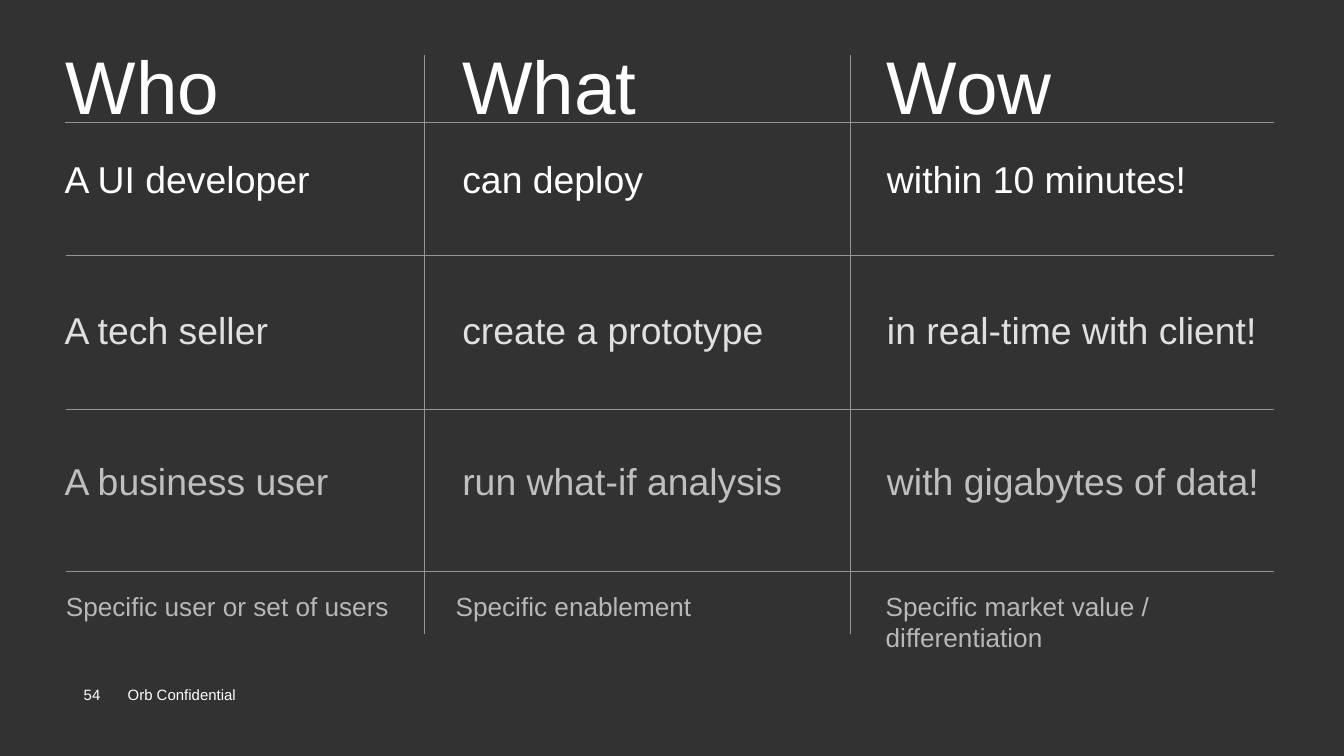
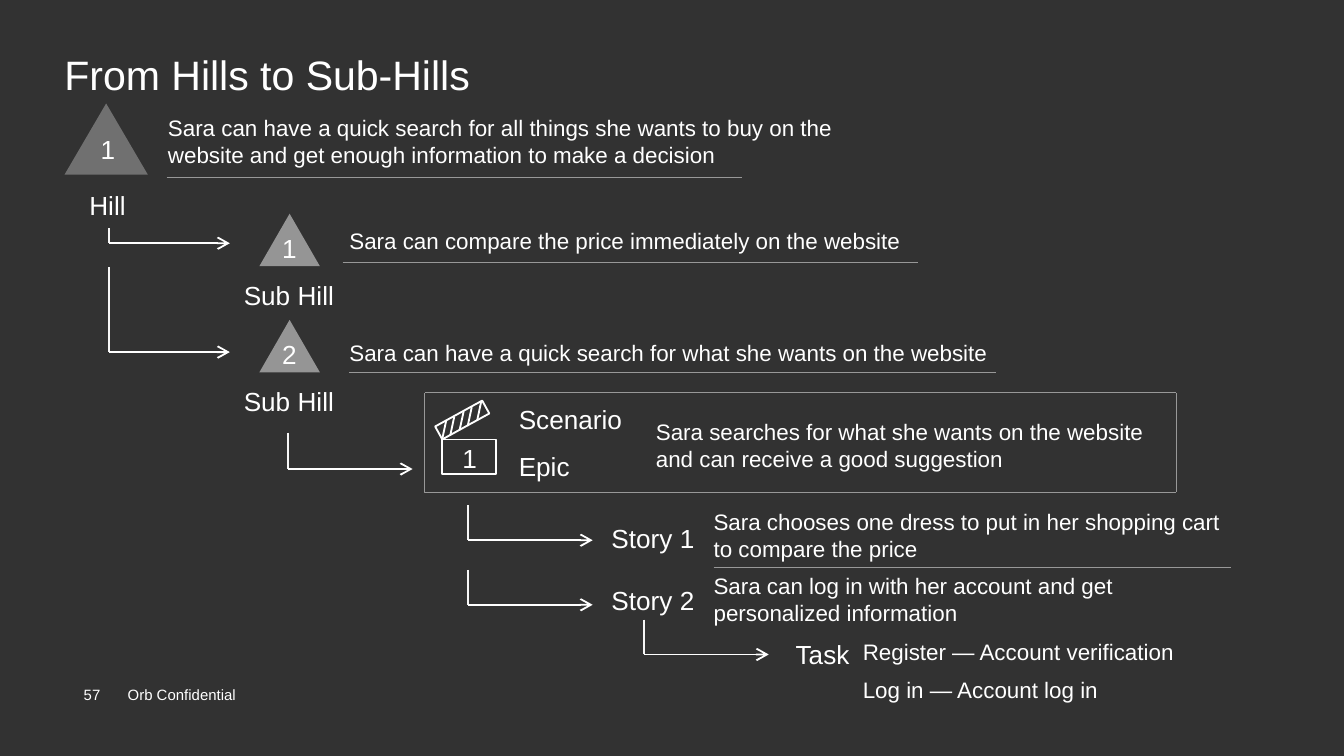
"""Builds the two hill slides: the Who/What/Wow grid and the hill breakdown."""
from lxml.etree import SubElement
from pptx import Presentation
from pptx.dml.color import RGBColor
from pptx.enum.dml import MSO_LINE
from pptx.enum.shapes import MSO_CONNECTOR, MSO_SHAPE
from pptx.enum.text import MSO_ANCHOR, PP_ALIGN
from pptx.oxml.ns import qn
from pptx.util import Pt

PX = 9144
FONT = "Arial"
COLOURS = {
    "back": "323232",
    "white": "FFFFFF",
    "near_white": "F6F6F6",
    "light": "E0E0E0",
    "mid": "BFBFBF",
    "note": "B8B8B8",
    "grid": "959595",
    "rule": "989898",
    "hill": "707070",
}
INK = {name: RGBColor.from_string(value) for name, value in COLOURS.items()}


def write(page, text, place, size, inks=("white",), align=PP_ALIGN.LEFT,
          leading=None, gap=0, anchor=MSO_ANCHOR.TOP):
    box = page.shapes.add_textbox(*(value * PX for value in place))
    frame = box.text_frame
    frame.word_wrap = True
    frame.vertical_anchor = anchor
    frame.margin_left = frame.margin_right = 0
    frame.margin_top = frame.margin_bottom = 0
    frame.text = text
    for number, para in enumerate(frame.paragraphs):
        para.alignment = align
        para.line_spacing = leading or Pt(size * 1.2)
        para.space_after = Pt(gap)
        for span in para.runs:
            span.font.name = FONT
            span.font.size = Pt(size)
            span.font.color.rgb = INK[inks[number % len(inks)]]


def draw_line(page, start, end, ink, width, arrow=False):
    line = page.shapes.add_connector(
        MSO_CONNECTOR.STRAIGHT, *(value * PX for value in (*start, *end)))
    line.line.color.rgb = INK[ink]
    line.line.width = Pt(width)
    properties = line.element.spPr
    if arrow:
        SubElement(properties.find(qn("a:ln")), qn("a:tailEnd"), type="arrow")
    SubElement(properties, qn("a:effectLst"))


deck = Presentation()
deck.slide_width = 1000 * PX
deck.slide_height = deck.slide_width * 9 // 16
backdrop = deck.slide_master.background.fill
backdrop.solid()
backdrop.fore_color.rgb = INK["back"]
blank = deck.slide_layouts[6]
grid_page, hill_page = deck.slides.add_slide(blank), deck.slides.add_slide(blank)

for page, number in ((grid_page, "54"), (hill_page, "57")):
    write(page, "Orb Confidential", (95, 506, 150, 22), 8, anchor=MSO_ANCHOR.MIDDLE)
    write(page, number, (48, 506, 41, 22), 8, align=PP_ALIGN.CENTER,
          anchor=MSO_ANCHOR.MIDDLE)

columns = [
    ("Who", 49, 296, 48, 219,
     ["A UI developer", "A tech seller", "A business user"],
     "Specific user or set of users", 49, 274),
    ("What", 344, 296, 344, 260,
     ["can deploy", "create a prototype", "run what-if analysis"],
     "Specific enablement", 339, 186),
    ("Wow", 660, 284, 660, 286,
     ["within 10 minutes!", "in real-time with client!", "with gigabytes of data!"],
     "Specific market value / differentiation", 659, 309),
]
for head, head_x, head_w, x, width, cells, note, note_x, note_w in columns:
    write(grid_page, head, (head_x, 41, head_w, 53), 40, leading=Pt(40))
    write(grid_page, "\n".join(cells), (x, 116, width, 261), 20,
          ("white", "light", "mid"), gap=57)
    write(grid_page, note, (note_x, 439, note_w, 24), 14, ("note",))

for x in (316, 633):
    draw_line(grid_page, (x, 41), (x, 472), "grid", 0.5)
for x, y in ((48, 91), (49, 190), (49, 305), (49, 425)):
    draw_line(grid_page, (x, y), (948, y), "grid", 0.5)

write(hill_page, "From Hills to Sub-Hills", (48, 41, 900, 34), 22, leading=0.9)

triangles = [
    (48, 77, 62, 53, "hill"),
    (193, 159, 45, 39, "grid"),
    (193, 238, 45, 39, "grid"),
]
for *place, ink in triangles:
    triangle = hill_page.shapes.add_shape(
        MSO_SHAPE.ISOSCELES_TRIANGLE, *(value * PX for value in place))
    triangle.shadow.inherit = False
    triangle.fill.solid()
    triangle.fill.fore_color.rgb = INK[ink]
    triangle.line.fill.background()

frames = [
    ((316, 292, 559, 74), "rule", 0.25, MSO_LINE.ROUND_DOT, 0),
    ((329, 327, 40, 26), "white", 1, MSO_LINE.SOLID, 0),
    ((324, 307, 40, 11), "white", 1, MSO_LINE.SOLID, 331.2),
]
for place, ink, width, dash, turn in frames:
    outline = hill_page.shapes.add_shape(
        MSO_SHAPE.RECTANGLE, *(value * PX for value in place))
    outline.shadow.inherit = False
    outline.fill.background()
    outline.line.color.rgb = INK[ink]
    outline.line.width = Pt(width)
    outline.line.dash_style = dash
    outline.rotation = turn

for stripe in range(5):
    x, y = 329 + 13 * stripe // 2, 327 - 7 * stripe // 2
    draw_line(hill_page, (x, y), (x + 3, y - 14), "white", 1)

elbows = [
    (81, 170, 181, 90),
    (81, 199, 262, 90),
    (214, 322, 349, 93),
    (348, 376, 402, 93),
    (348, 424, 450, 93),
    (479, 461, 487, 93),
]
for x, top, bottom, reach in elbows:
    draw_line(hill_page, (x, top), (x, bottom), "near_white", 1)
    draw_line(hill_page, (x, bottom), (x + reach, bottom), "white", 1, arrow=True)

for x, y, width in ((124, 132, 428), (255, 195, 428), (260, 277, 481), (531, 422, 385)):
    draw_line(hill_page, (x, y), (x + width, y), "rule", 0.25)

labels = [
    ("1", 75, 99, 10),
    ("1", 210, 173, 10),
    ("2", 210, 252, 10),
    ("1", 344, 329, 10),
    ("Scenario", 386, 300, 92),
    ("Epic", 386, 335, 68),
    ("Story 1", 455, 389, 130),
    ("Story 2", 455, 435, 130),
    ("Task", 592, 475, 45),
]
for text, x, y, width in labels:
    write(hill_page, text, (x, y, width, 24), 14)
for text, x, y, width in (("Hill", 64, 141, 32), ("Sub Hill", 177, 208, 76),
                          ("Sub Hill", 177, 287, 76)):
    write(hill_page, text, (x, y, width, 24), 14, align=PP_ALIGN.CENTER)

statements = [
    ("Sara can have a quick search for all things she wants to buy on the website "
     "and get enough information to make a decision", (125, 85, 543, 40)),
    ("Sara can compare the price immediately on the website", (260, 169, 543, 20)),
    ("Sara can have a quick search for what she wants on the website",
     (260, 252, 543, 20)),
    ("Sara searches for what she wants on the website and can receive a good "
     "suggestion", (488, 311, 368, 40)),
    ("Sara chooses one dress to put in her shopping cart to compare the price",
     (531, 378, 393, 40)),
    ("Sara can log in with her account and get personalized information",
     (531, 426, 393, 40)),
    ("Register — Account verification\nLog in — Account log in",
     (642, 475, 393, 49)),
]
for text, place in statements:
    write(hill_page, text, place, 12, gap=6)

deck.save("out.pptx")
